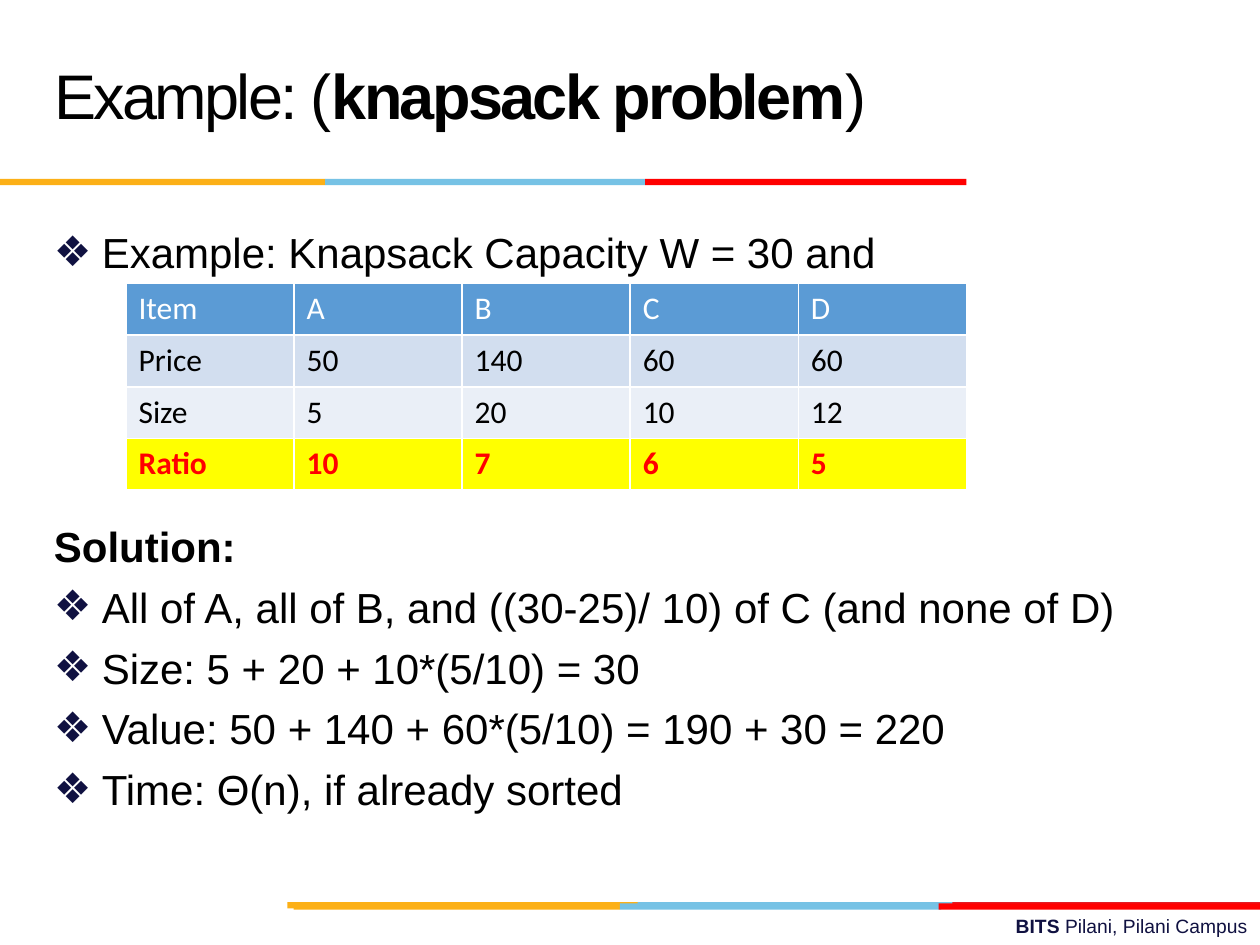
import pptx
import pptx.util
import pptx.dml.color
import pptx.enum.shapes
import pptx.enum.text
import pptx.oxml
import pptx.oxml.ns
import lxml.etree

WIDTH, HEIGHT = 10, 7.5
AMBER, SKY, RED, CRIMSON = "FCB017", "76C2E5", "FF0000", "E31C24"
BLACK, WHITE, NAVY = "000000", "FFFFFF", "101141"

HEADING = [("Example: (", False), ("knapsack problem", True), (")", False)]
CAMPUS = [("BITS ", True), ("Pilani, Pilani Campus", False)]
QUESTION = [("Example: Knapsack Capacity W = 30 and", True)]
SOLUTION = [
    ("Solution:", False),
    ("All of A, all of B, and ((30-25)/ 10) of C (and none of D)", True),
    ("Size: 5 + 20 + 10*(5/10) = 30", True),
    ("Value: 50 + 140 + 60*(5/10) = 190 + 30 = 220", True),
    ("Time: Θ(n), if already sorted", True),
]
ITEMS = [
    (("Item", "A", "B", "C", "D"), "5B9BD5", WHITE, False),
    (("Price", "50", "140", "60", "60"), "D2DEEF", BLACK, False),
    (("Size", "5", "20", "10", "12"), "EAEFF7", BLACK, False),
    (("Ratio", "10", "7", "6", "5"), "FFFF00", RED, True),
]
BANDS = [
    (7.16, [(2.28, 5.1, AMBER), (5.06, 7.61, SKY), (7.56, WIDTH, CRIMSON)]),
    (7.17, [(2.33, 4.92, AMBER), (4.92, 7.47, SKY), (7.45, WIDTH, RED)]),
    (1.42, [(0, 2.58, AMBER), (2.58, 5.12, SKY), (5.12, 7.67, RED)]),
]
BAND_HEIGHT = 0.05
MARGIN, BODY_WIDTH, BODY_TOP = 0.33, 9, 1.75
LINE_PITCH = 0.466
TABLE_LEFT, TABLE_TOP, TABLE_WIDTH, ROW_HEIGHT = 1, 2.25, 6.67, 0.41


def inches(*lengths):
    return [pptx.util.Inches(length) for length in lengths]


def colour(hex_string):
    return pptx.dml.color.RGBColor.from_string(hex_string)


def style(font, size, hex_string, face="Arial"):
    font.size = pptx.util.Pt(size)
    font.name = face
    font.color.rgb = colour(hex_string)


def add_runs(paragraph, parts):
    for words, bold in parts:
        run = paragraph.add_run()
        run.text = words
        run.font.bold = bold
    return paragraph.runs


def add_bullet(paragraph):
    properties = paragraph._p.get_or_add_pPr()
    hang = pptx.util.Inches(0.38)
    properties.set("marL", str(hang))
    properties.set("indent", str(-hang))
    namespace = pptx.oxml.ns.nsdecls("a")
    for xml in (
        f'<a:buClr {namespace}><a:srgbClr val="{NAVY}"/></a:buClr>',
        f'<a:buFont {namespace} typeface="Arial"/>',
        f'<a:buChar {namespace} char="❖"/>',
    ):
        properties.append(pptx.oxml.parse_xml(xml))


def add_text_frame(slide, left, top, width, height):
    frame = slide.shapes.add_textbox(*inches(left, top, width, height)).text_frame
    frame.word_wrap = True
    return frame


def add_lines(slide, top, lines):
    frame = add_text_frame(slide, MARGIN, top, BODY_WIDTH, len(lines) * LINE_PITCH + 0.1)
    for index, (words, bulleted) in enumerate(lines):
        paragraph = frame.paragraphs[0] if index == 0 else frame.add_paragraph()
        if index:
            paragraph.space_before = pptx.util.Pt(6)
        if bulleted:
            add_bullet(paragraph)
        style(paragraph.font, 24, BLACK)
        add_runs(paragraph, [(words, not bulleted)])


def add_bands(slide):
    for top, pieces in BANDS:
        for start, end, fill in pieces:
            band = slide.shapes.add_shape(
                pptx.enum.shapes.MSO_SHAPE.RECTANGLE,
                *inches(start, top, end - start, BAND_HEIGHT))
            band.shadow.inherit = False
            band.fill.solid()
            band.fill.fore_color.rgb = colour(fill)
            band.line.fill.background()


def add_borders(cell):
    properties = cell._tc.get_or_add_tcPr()
    for index, side in enumerate(("lnL", "lnR", "lnT", "lnB")):
        properties.insert(index, pptx.oxml.parse_xml(
            f'<a:{side} {pptx.oxml.ns.nsdecls("a")} w="12700"><a:solidFill>'
            f'<a:srgbClr val="{WHITE}"/></a:solidFill></a:{side}>'))


def add_items(slide):
    columns = len(ITEMS[0][0])
    table = slide.shapes.add_table(
        len(ITEMS), columns,
        *inches(TABLE_LEFT, TABLE_TOP, TABLE_WIDTH, ROW_HEIGHT * len(ITEMS))).table
    for row, (values, fill, ink, bold) in enumerate(ITEMS):
        for column, value in enumerate(values):
            cell = table.cell(row, column)
            cell.text = value
            cell.fill.solid()
            cell.fill.fore_color.rgb = colour(fill)
            font = cell.text_frame.paragraphs[0].font
            style(font, 18, ink, "Calibri")
            font.bold = bold
            add_borders(cell)


def add_heading(slide):
    heading = slide.shapes.title
    heading.left, heading.top, heading.width, heading.height = inches(MARGIN, 0.17, 6.92, 1.25)
    frame = heading.text_frame
    frame.auto_size = pptx.enum.text.MSO_AUTO_SIZE.NONE
    frame.vertical_anchor = pptx.enum.text.MSO_ANCHOR.MIDDLE
    paragraph = frame.paragraphs[0]
    paragraph.alignment = pptx.enum.text.PP_ALIGN.LEFT
    paragraph.line_spacing = pptx.util.Pt(36)
    style(paragraph.font, 36, BLACK)
    for run in add_runs(paragraph, HEADING):
        run._r.get_or_add_rPr().set("spc", "-150")


def add_campus(slide):
    paragraph = add_text_frame(slide, 3.58, 7.21, 6.42, 0.29).paragraphs[0]
    paragraph.alignment = pptx.enum.text.PP_ALIGN.RIGHT
    style(paragraph.font, 11, NAVY)
    add_runs(paragraph, CAMPUS)


def main():
    deck = pptx.Presentation()
    deck.slide_width, deck.slide_height = inches(WIDTH, HEIGHT)
    slide = deck.slides.add_slide(deck.slide_layouts.get_by_name("Title Only"))
    add_campus(slide)
    add_bands(slide)
    add_lines(slide, BODY_TOP, QUESTION)
    add_lines(slide, BODY_TOP + 5 * LINE_PITCH, SOLUTION)
    add_heading(slide)
    add_items(slide)
    deck.save("out.pptx")


if __name__ == "__main__":
    main()
